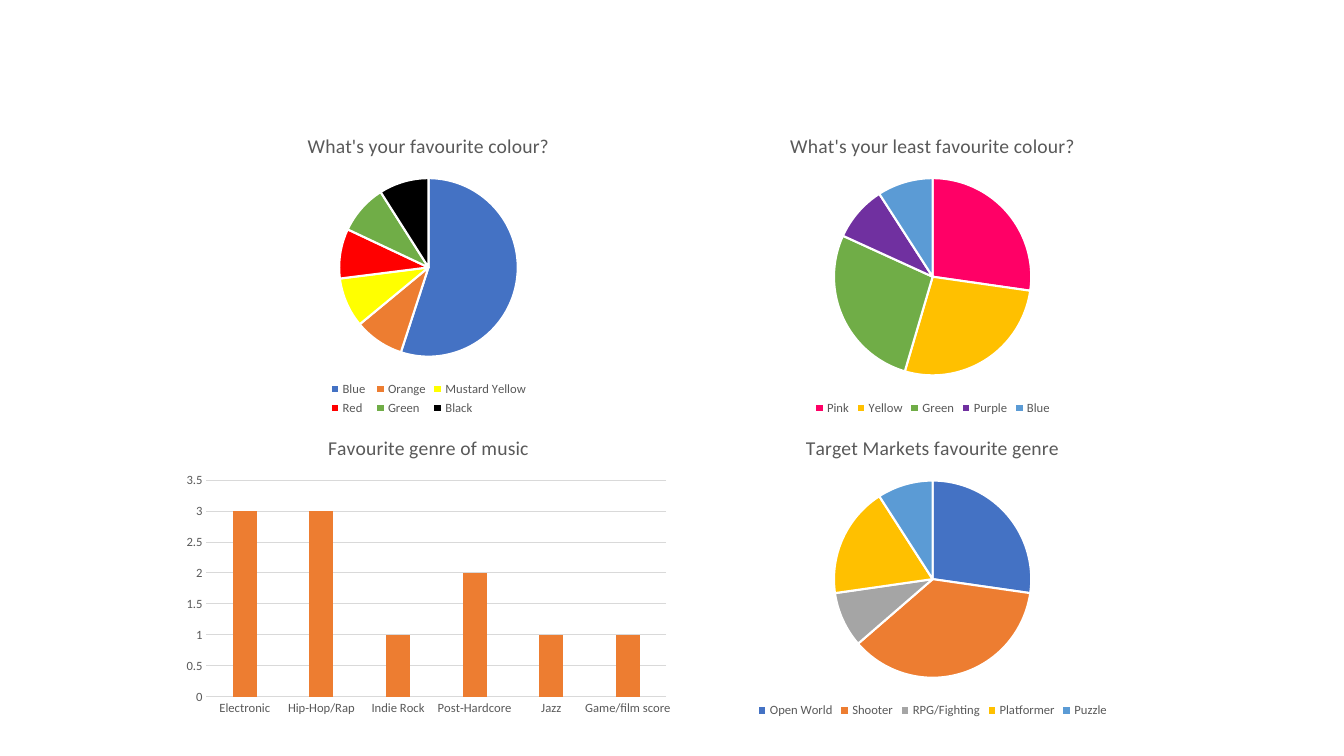
import dataclasses

import pptx
import pptx.chart.data
import pptx.dml.color
import pptx.enum.chart
import pptx.util

BLANK_LAYOUT = 6
GRID_LEFT, GRID_TOP = 1.75, 1.16
COLUMN_WIDTH, ROW_HEIGHT = 5, 3


@dataclasses.dataclass(frozen=True)
class Theme:
    font: str = "Calibri"
    title_size: float = 14
    label_size: float = 9
    base_size: float = 10
    slice_border: float = 1.5
    hairline: float = 0.75
    text: str = "595959"
    rule: str = "D9D9D9"
    white: str = "FFFFFF"
    black: str = "000000"
    blue: str = "4472C4"
    orange: str = "ED7D31"
    grey: str = "A5A5A5"
    gold: str = "FFC000"
    sky: str = "5B9BD5"
    green: str = "70AD47"
    yellow: str = "FFFF00"
    red: str = "FF0000"
    pink: str = "FF0066"
    purple: str = "7030A0"


THEME = Theme()


def set_attributes(target, values):
    for name, value in values.items():
        setattr(target, name, value)


def rgb(color):
    return pptx.dml.color.RGBColor.from_string(color)


def format_font(font, size, color):
    set_attributes(font, {"name": THEME.font, "size": pptx.util.Pt(size), "bold": False})
    font.color.rgb = rgb(color)


def format_line(line, color, width):
    line.color.rgb = rgb(color)
    line.width = pptx.util.Pt(width)


def fill_solid(target, color):
    target.fill.solid()
    target.fill.fore_color.rgb = rgb(color)


def add_chart(slide, kind, column, row, title, values):
    data = pptx.chart.data.CategoryChartData()
    data.categories = list(values)
    data.add_series("Series 1", list(values.values()))
    chart = slide.shapes.add_chart(
        kind,
        pptx.util.Inches(GRID_LEFT + column * COLUMN_WIDTH),
        pptx.util.Inches(GRID_TOP + row * ROW_HEIGHT),
        pptx.util.Inches(COLUMN_WIDTH),
        pptx.util.Inches(ROW_HEIGHT),
        data,
    ).chart
    format_font(chart.font, THEME.base_size, THEME.black)
    chart.has_title = True
    chart.chart_title.include_in_layout = False
    paragraph = chart.chart_title.text_frame.paragraphs[0]
    run = paragraph.add_run()
    run.text = title
    format_font(run.font, THEME.title_size, THEME.text)
    return chart


def add_pie(slide, column, row, title, slices):
    values = {name: value for name, (value, color) in slices.items()}
    chart = add_chart(
        slide, pptx.enum.chart.XL_CHART_TYPE.PIE, column, row, title, values
    )
    chart.plots[0].vary_by_categories = True
    points = chart.plots[0].series[0].points
    for index, (value, color) in enumerate(slices.values()):
        fill_solid(points[index].format, color)
        format_line(points[index].format.line, THEME.white, THEME.slice_border)
    chart.has_legend = True
    set_attributes(chart.legend, {
        "position": pptx.enum.chart.XL_LEGEND_POSITION.BOTTOM,
        "include_in_layout": False,
    })
    format_font(chart.legend.font, THEME.label_size, THEME.text)


def add_columns(slide, column, row, title, values, color):
    chart = add_chart(
        slide, pptx.enum.chart.XL_CHART_TYPE.COLUMN_CLUSTERED,
        column, row, title, values,
    )
    chart.has_legend = False
    plot = chart.plots[0]
    set_attributes(plot, {"vary_by_categories": False, "gap_width": 219, "overlap": -27})
    fill_solid(plot.series[0].format, color)
    no_tick = pptx.enum.chart.XL_TICK_MARK.NONE
    for axis in (chart.category_axis, chart.value_axis):
        set_attributes(axis, {"major_tick_mark": no_tick, "minor_tick_mark": no_tick})
        format_font(axis.tick_labels.font, THEME.label_size, THEME.text)
    format_line(chart.category_axis.format.line, THEME.rule, THEME.hairline)
    value_axis = chart.value_axis
    set_attributes(value_axis, {
        "minimum_scale": 0,
        "maximum_scale": 3.5,
        "major_unit": 0.5,
        "has_major_gridlines": True,
    })
    value_axis.format.line.fill.background()
    format_line(value_axis.major_gridlines.format.line, THEME.rule, THEME.hairline)


def main():
    presentation = pptx.Presentation()
    set_attributes(presentation, {
        "slide_width": pptx.util.Inches(13.33),
        "slide_height": pptx.util.Inches(7.5),
    })
    slide = presentation.slides.add_slide(presentation.slide_layouts[BLANK_LAYOUT])
    fill_solid(slide.background, THEME.white)

    add_pie(slide, 0, 0, "What's your favourite colour?", {
        "Blue ": (55, THEME.blue),
        "Orange": (9, THEME.orange),
        "Mustard Yellow": (9, THEME.yellow),
        "Red": (9, THEME.red),
        "Green": (9, THEME.green),
        "Black": (9, THEME.black),
    })
    add_pie(slide, 1, 0, "What's your least favourite colour?", {
        "Pink": (27, THEME.pink),
        "Yellow": (27, THEME.gold),
        "Green": (27, THEME.green),
        "Purple": (9, THEME.purple),
        "Blue": (9, THEME.sky),
    })
    add_columns(slide, 0, 1, "Favourite genre of music", {
        "Electronic": 3,
        "Hip-Hop/Rap": 3,
        "Indie Rock": 1,
        "Post-Hardcore": 2,
        "Jazz": 1,
        "Game/film score": 1,
    }, THEME.orange)
    add_pie(slide, 1, 1, "Target Markets favourite genre", {
        "Open World": (27, THEME.blue),
        "Shooter": (36, THEME.orange),
        "RPG/Fighting": (9, THEME.grey),
        "Platformer": (18, THEME.gold),
        "Puzzle": (9, THEME.sky),
    })
    presentation.save("out.pptx")


if __name__ == "__main__":
    main()
